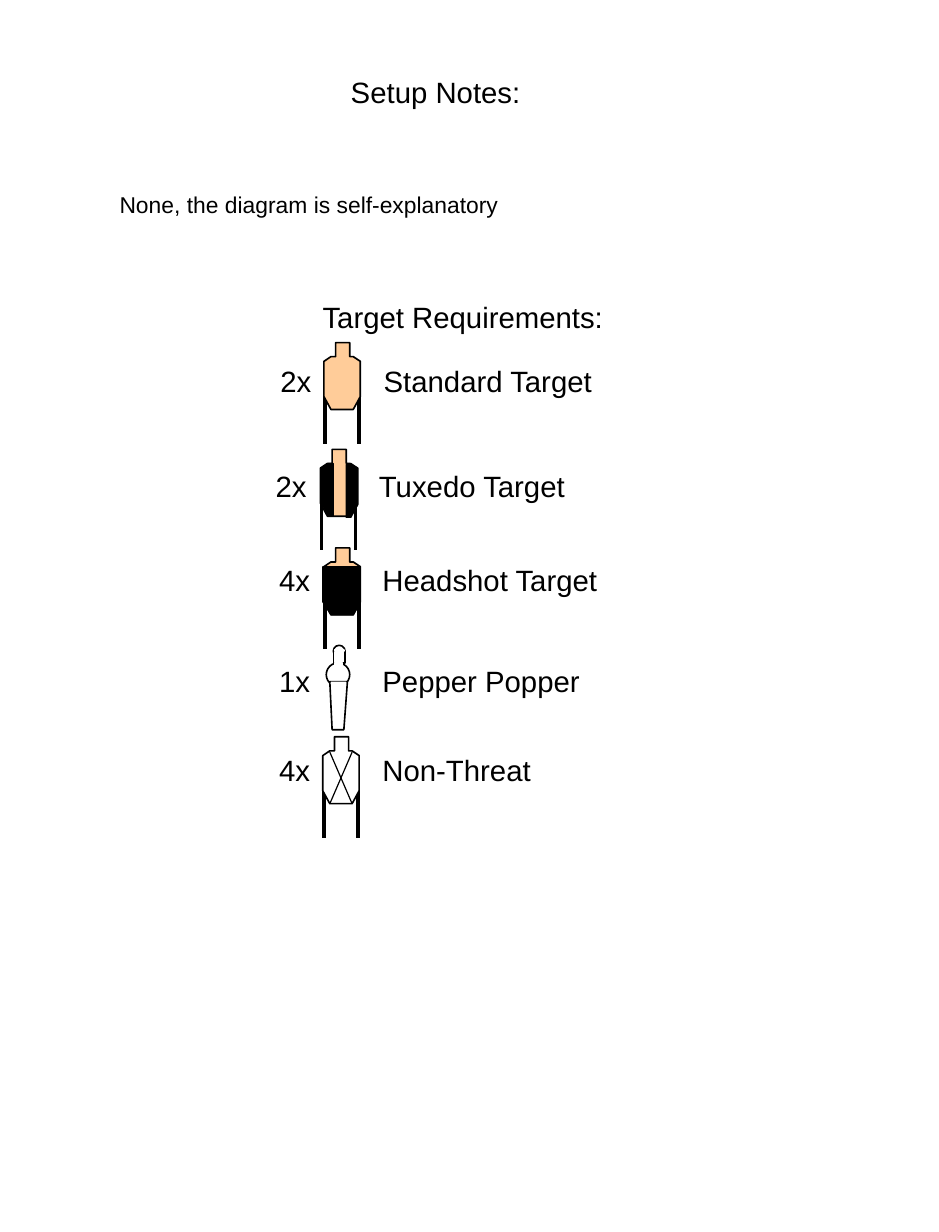
from lxml.etree import SubElement
from pptx import Presentation
from pptx.dml.color import RGBColor
from pptx.enum.shapes import MSO_CONNECTOR, MSO_SHAPE
from pptx.enum.text import MSO_AUTO_SIZE
from pptx.oxml.ns import qn
from pptx.util import Inches, Pt

BLACK = RGBColor(0x00, 0x00, 0x00)
WHITE = RGBColor(0xFF, 0xFF, 0xFF)
TAN = RGBColor(0xFF, 0xCC, 0x99)

# Text, left, top, width, height, size, wrap
NOTES = [
    ("Setup Notes:", 2.89, 0.58, 1.66, 0.4, 18, False),
    ("None, the diagram is self-explanatory", 0.92, 1.58, 6.17, 0.34, 14, True),
    ("Target Requirements:", 2.65, 2.5, 2.7, 0.4, 18, False),
]
# Count, name, left, top, width
REQUIREMENTS = [
    ("2x", "Standard Target", 2.29, 3.05, 2.89),
    ("2x", "Tuxedo Target", 2.25, 3.94, 2.69),
    ("4x", "Headshot Target", 2.28, 4.74, 2.95),
    ("1x", "Pepper Popper", 2.28, 5.6, 2.8),
    ("4x", "Non-Threat", 2.28, 6.36, 2.38),
]
NAME_TAB = 0.88

# Outlines and lines are measured from the top left of each target
SILHOUETTE = [(0.1, 0), (0.22, 0), (0.22, 0.12), (0.25, 0.12), (0.31, 0.16), (0.31, 0.46),
              (0.25, 0.57), (0.06, 0.57), (0, 0.46), (0, 0.16), (0.06, 0.12), (0.1, 0.12)]
LEGS = [((x, 0.42), (x, 0.86)) for x in (0.01, 0.3)]
TUXEDO_SIDES = [
    [(0.22, 0.13), (0.22, 0.58), (0.26, 0.58), (0.32, 0.47), (0.32, 0.16), (0.26, 0.12)],
    [(0.11, 0.12), (0.11, 0.57), (0.07, 0.57), (0.01, 0.46), (0.01, 0.16), (0.07, 0.12)],
]
HEADSHOT_BODY = [(-0.01, 0.16), (0.31, 0.16), (0.31, 0.46),
                 (0.25, 0.57), (0.06, 0.57), (-0.01, 0.46)]
CROSS = [((0.25, 0.13), (0.06, 0.57)), ((0.06, 0.13), (0.25, 0.57))]

# Left, top, fill, black panels, crossing lines
TARGETS = [
    (2.76, 2.92, TAN, [], []),
    (2.73, 3.83, TAN, TUXEDO_SIDES, []),
    (2.76, 4.67, TAN, [HEADSHOT_BODY], []),
    (2.75, 6.28, WHITE, [], CROSS),
]

# Shape, left, top, width, height, line colour
POPPER_ROUNDS = [
    (MSO_SHAPE.OVAL, 2.84, 5.5, 0.1, 0.1, BLACK),
    (MSO_SHAPE.OVAL, 2.78, 5.65, 0.2, 0.2, BLACK),
]
POPPER_STEM = [(2.81, 5.81), (2.96, 5.81), (2.93, 6.22), (2.83, 6.22)]
POPPER_NECK = [
    (MSO_SHAPE.RECTANGLE, 2.84, 5.55, 0.1, 0.1, BLACK),
    (MSO_SHAPE.RECTANGLE, 2.82, 5.81, 0.13, 0.02, None),
    (MSO_SHAPE.RECTANGLE, 2.85, 5.65, 0.07, 0.02, WHITE),
    (MSO_SHAPE.RECTANGLE, 2.85, 5.54, 0.08, 0.01, WHITE),
]


def add_text(slide, text, left, top, width, height, size, wrap, tab=None):
    box = slide.shapes.add_textbox(*map(Inches, (left, top, width, height)))
    frame = box.text_frame
    frame.word_wrap = wrap
    frame.auto_size = MSO_AUTO_SIZE.SHAPE_TO_FIT_TEXT
    paragraph = frame.paragraphs[0]
    paragraph.text = text
    if tab:
        tabs = SubElement(paragraph._p.get_or_add_pPr(), qn("a:tabLst"))
        SubElement(tabs, qn("a:tab"), pos=str(Inches(tab)), algn="l")
    font = paragraph.runs[0].font
    for key, value in {"name": "Arial", "size": Pt(size)}.items():
        setattr(font, key, value)
    font.color.rgb = BLACK


def paint(shape, fill, line=BLACK, weight=1):
    shape.shadow.inherit = False
    shape.fill.solid()
    shape.fill.fore_color.rgb = fill
    if line is None:
        shape.line.fill.background()
    else:
        shape.line.color.rgb = line
        shape.line.width = Pt(weight)


def add_outline(group, points, fill, left=0, top=0, weight=1):
    corners = [(Inches(left + x), Inches(top + y)) for x, y in points]
    builder = group.shapes.build_freeform(*corners[0], scale=1.0)
    builder.add_line_segments(corners[1:], close=True)
    paint(builder.convert_to_shape(), fill, weight=weight)


def add_lines(group, lines, left, top, weight):
    for (x1, y1), (x2, y2) in lines:
        ends = map(Inches, (left + x1, top + y1, left + x2, top + y2))
        line = group.shapes.add_connector(MSO_CONNECTOR.STRAIGHT, *ends)
        line.line.color.rgb = BLACK
        line.line.width = Pt(weight)
        SubElement(line._element.spPr, qn("a:effectLst"))


def add_target(slide, left, top, fill, panels, crossing):
    group = slide.shapes.add_group_shape()
    add_lines(group, LEGS, left, top, 2.25)
    add_outline(group, SILHOUETTE, fill, left, top)
    for panel in panels:
        add_outline(group, panel, BLACK, left, top, weight=0)
    add_lines(group, crossing, left, top, 0.75)


def add_popper(slide):
    group = slide.shapes.add_group_shape()

    def add_parts(parts):
        for kind, left, top, width, height, line in parts:
            part = group.shapes.add_shape(kind, *map(Inches, (left, top, width, height)))
            paint(part, WHITE, line)

    add_parts(POPPER_ROUNDS)
    add_outline(group, POPPER_STEM, WHITE)
    add_parts(POPPER_NECK)


def main():
    deck = Presentation()
    deck.slide_width, deck.slide_height = Inches(8), Inches(10.5)
    slide = deck.slides.add_slide(deck.slide_layouts[6])
    for note in NOTES:
        add_text(slide, *note)
    for target in TARGETS:
        add_target(slide, *target)
    add_popper(slide)
    for count, name, left, top, width in REQUIREMENTS:
        add_text(slide, f"{count}\t{name}", left, top, width, 0.4, 18, False, NAME_TAB)
    deck.save("out.pptx")


if __name__ == "__main__":
    main()
